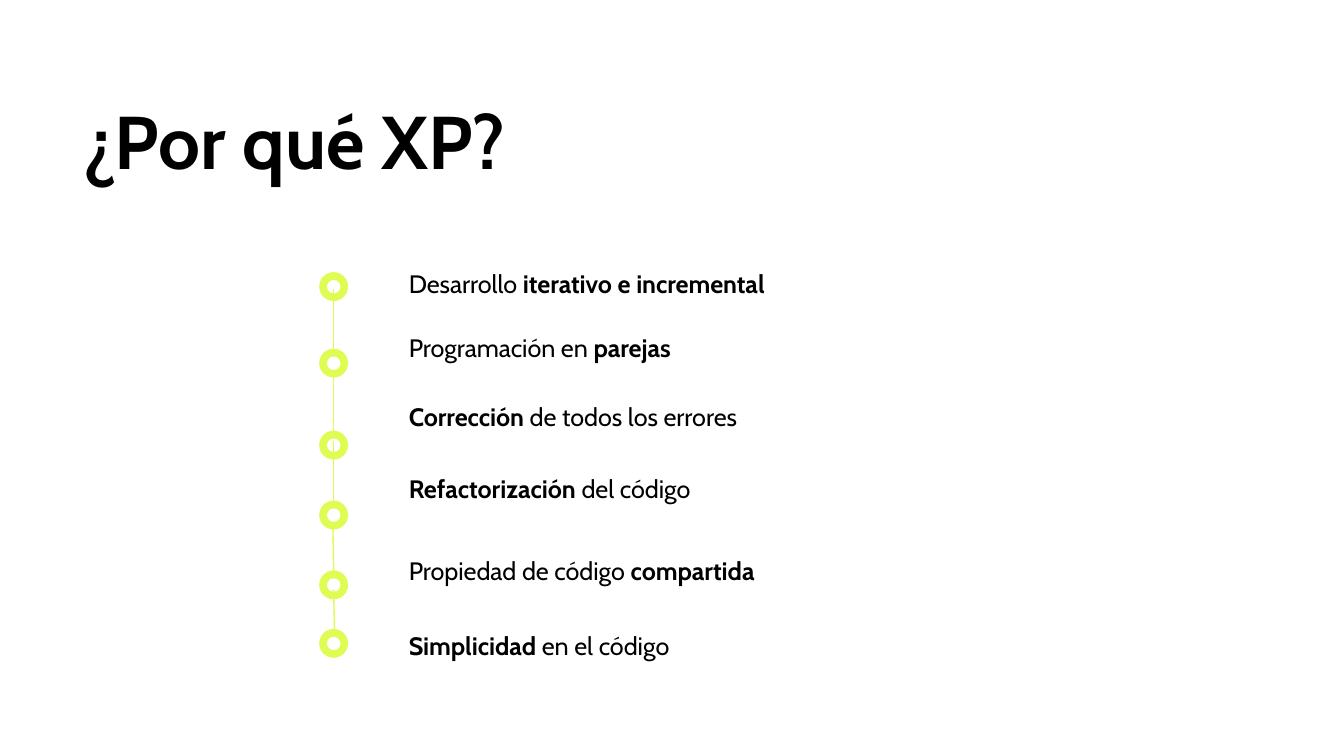
import pptx
import pptx.util
import pptx.dml.color
import pptx.enum.shapes
import pptx.enum.text
import pptx.oxml.ns
import lxml.etree

LIME, WHITE, BLACK = "DEFC52", "FFFFFF", "000000"
OVAL = pptx.enum.shapes.MSO_SHAPE.OVAL
rgb = pptx.dml.color.RGBColor.from_string

# A 16:9 slide
deck = pptx.Presentation()
deck.slide_width = pptx.util.Inches(10)
deck.slide_height = deck.slide_width * 9 // 16
page = deck.slides.add_slide(deck.slide_layouts[6])
page.background.fill.solid()
page.background.fill.fore_color.rgb = rgb(WHITE)


def grid(*cells):
    """Lengths on a square grid with 100 columns across the slide."""
    return [round(cell * deck.slide_width / 100) for cell in cells]


def add_text(spans, left, top, width, height, size=13.5, spacing=None):
    """Add a text box from (text, bold) spans."""
    box = page.shapes.add_textbox(*grid(left, top, width, height))
    frame = box.text_frame
    frame.word_wrap = True
    frame.auto_size = pptx.enum.text.MSO_AUTO_SIZE.NONE
    frame.margin_left, frame.margin_top, frame.margin_right, frame.margin_bottom = grid(1, 1, 1, 1)
    para = frame.paragraphs[0]
    if spacing:
        para.line_spacing = spacing
    for text, bold in spans:
        span = para.add_run()
        span.text = text
        span.font.name = "Cabin"
        span.font.size = pptx.util.Pt(size)
        span.font.bold = bold
        span.font.color.rgb = rgb(BLACK)


# Title
add_text([("¿Por qué XP?", True)], 5.2, 6.8, 89, 8.1, size=40, spacing=0.9)

# Reasons: marker top, text top, text height, spans
reasons = [
    (20.25, 18.95, 4.3, [("Desarrollo", False), (" iterativo e incremental", True)]),
    (25.95, 23.75, 6.6, [("Programación en", False), (" parejas", True)]),
    (32.05, 28.9, 6.6, [("Corrección ", True), ("de todos los errores", False)]),
    (37.25, 34.2, 6.6, [("Refactorización ", True), ("del código", False)]),
    (42.45, 40.3, 6.6, [("Propiedad de código", False), (" compartida", True)]),
    (46.8, 45.9, 6.6, [("Simplicidad ", True), ("en el código", False)]),
]
for marker_top, text_top, text_height, spans in reasons:
    # Ring marker: lime disc with a white centre
    marker = page.shapes.add_group_shape()
    for inset, diameter, color in ((0, 2.15, LIME), (0.58, 1, WHITE)):
        disc = marker.shapes.add_shape(
            OVAL, *grid(23.75 + inset, marker_top + inset, diameter, diameter))
        disc.shadow.inherit = False
        disc.fill.solid()
        disc.fill.fore_color.rgb = rgb(color)
        disc.line.fill.background()
    add_text(spans, 29.43, text_top, 46.8, text_height)

# Timeline links between markers: start row, end row, start and end column
links = [(21.5, 26, 24.8, 24.8), (27.6, 32.1, 24.8, 24.8), (32.8, 37.3, 24.8, 24.8),
         (39.2, 42.5, 24.77, 24.83), (43.9, 47.1, 24.82, 24.9)]
for start, end, start_column, end_column in links:
    link = page.shapes.add_connector(
        pptx.enum.shapes.MSO_CONNECTOR.STRAIGHT, *grid(start_column, start, end_column, end))
    link.line.width = pptx.util.Pt(0.75)
    link.line.color.rgb = rgb(LIME)
    lxml.etree.SubElement(link._element.spPr, pptx.oxml.ns.qn("a:effectLst"))

deck.save("out.pptx")
